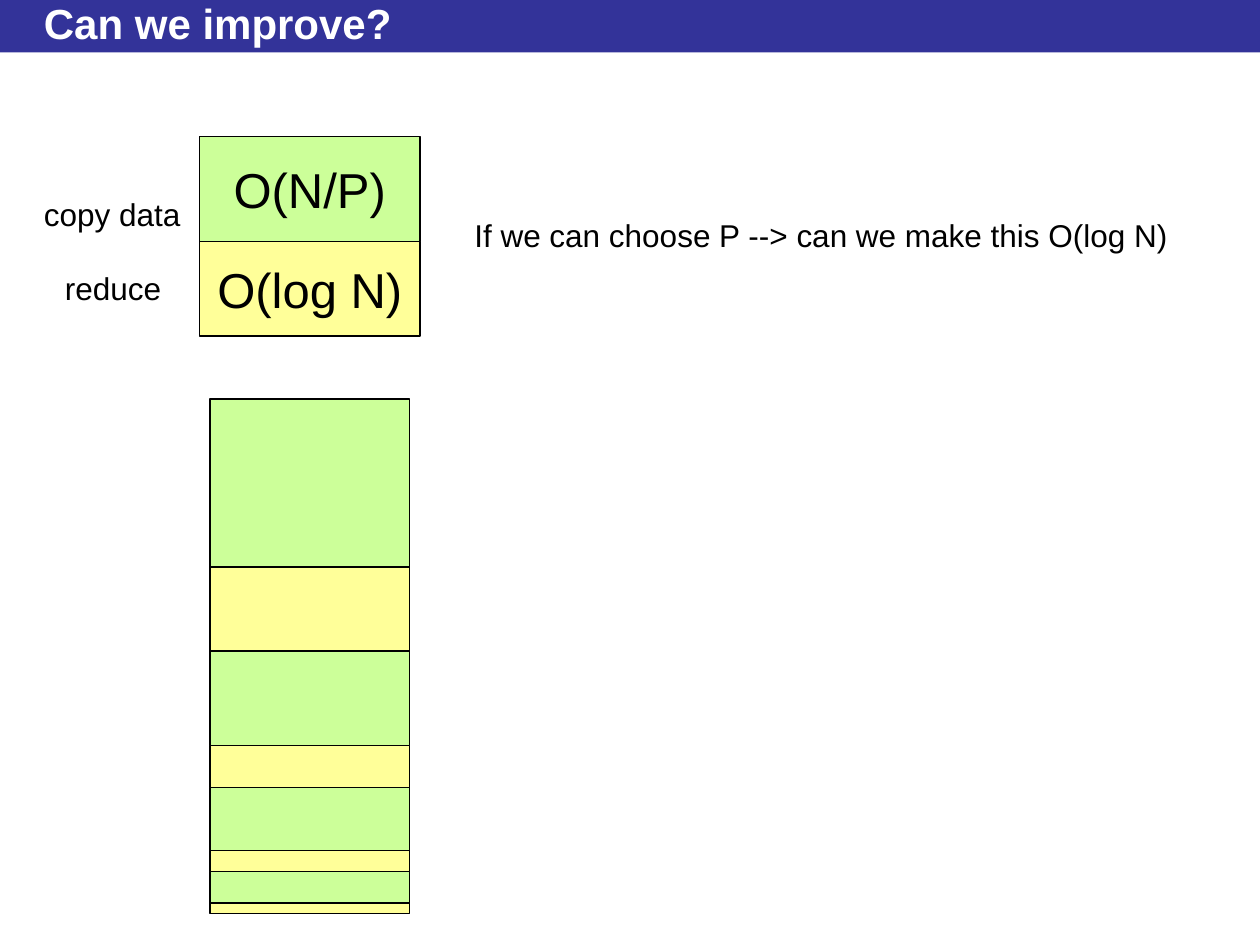
from pptx import Presentation
from pptx import util as u
from pptx.dml.color import RGBColor
from pptx.enum import shapes, text

PX = u.Inches(1) // 96
COLORS = {
    "band": "333399",
    "title": "FFFFFF",
    "copy": "CCFF99",
    "reduce": "FFFF99",
    "ink": "000000",
}


def color(name):
    return RGBColor.from_string(COLORS[name])


def px(*lengths):
    return [length * PX for length in lengths]


def write(shape, words, size, ink="ink", bold=False, align=text.PP_ALIGN.LEFT,
          anchor=text.MSO_ANCHOR.TOP, wrap=False):
    frame = shape.text_frame
    frame.word_wrap = wrap
    frame.vertical_anchor = anchor
    paragraph = frame.paragraphs[0]
    paragraph.text = words
    paragraph.alignment = align
    font = paragraph.font
    font.name, font.size, font.bold = "Arial", u.Pt(size), bold
    font.color.rgb = color(ink)


def add_block(slide, box, fill, outlined=True):
    block = slide.shapes.add_shape(shapes.MSO_SHAPE.RECTANGLE, *px(*box))
    block.shadow.inherit = False
    block.fill.solid()
    block.fill.fore_color.rgb = color(fill)
    if outlined:
        block.line.color.rgb = color("ink")
        block.line.width = u.Pt(0.75)
    else:
        block.line.fill.background()
    return block


def add_label(slide, box, words):
    label = slide.shapes.add_textbox(*px(*box))
    write(label, words, 18)
    label.text_frame.auto_size = text.MSO_AUTO_SIZE.SHAPE_TO_FIT_TEXT


def add_header(slide, left, top, width, height):
    add_block(slide, (left, top, width, height), "band", outlined=False)
    title = slide.shapes.add_textbox(*px(left + 24, top + 4, width - 72, height - 13))
    write(title, "Can we improve?", 24, "title", bold=True,
          anchor=text.MSO_ANCHOR.MIDDLE, wrap=True)


def add_costs(slide, left, top, width):
    """Cost of one round, with step names at the left and a question at the right."""
    for offset, height, fill, cost in ((0, 80, "copy", "O(N/P)"),
                                       (80, 72, "reduce", "O(log N)")):
        block = add_block(slide, (left, top + offset, width, height), fill)
        write(block, cost, 28, align=text.PP_ALIGN.CENTER,
              anchor=text.MSO_ANCHOR.MIDDLE)
    add_label(slide, (left + width + 32, top + 56, 549, 38),
              "If we can choose P --> can we make this O(log N)")
    add_label(slide, (left - 128, top + 40, 124, 38), "copy data")
    add_label(slide, (left - 112, top + 96, 94, 38), "reduce")


def add_rounds(slide, left, top, width):
    """Shrinking rounds, each a copy step above a reduce step."""
    for copy_height, reduce_height in ((128, 64), (72, 32), (48, 16), (24, 8)):
        for fill, height in (("copy", copy_height), ("reduce", reduce_height)):
            add_block(slide, (left, top, width, height), fill)
            top += height


def main():
    deck = Presentation()
    deck.slide_width, deck.slide_height = px(960, 720)
    slide = deck.slides.add_slide(deck.slide_layouts[6])
    add_header(slide, 0, 0, 960, 40)
    add_costs(slide, 152, 104, 168)
    add_rounds(slide, 160, 304, 152)
    deck.save("out.pptx")


if __name__ == "__main__":
    main()
